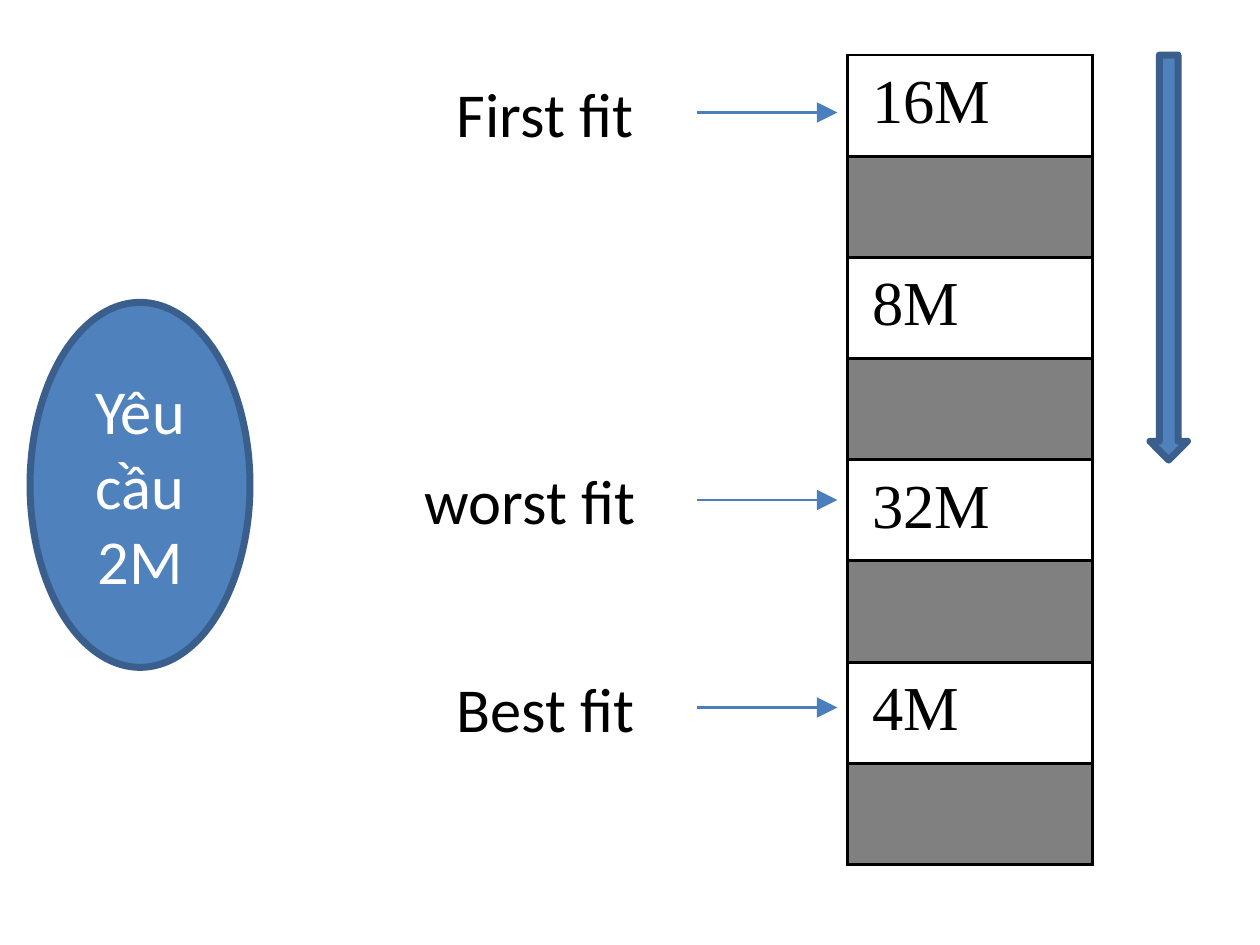
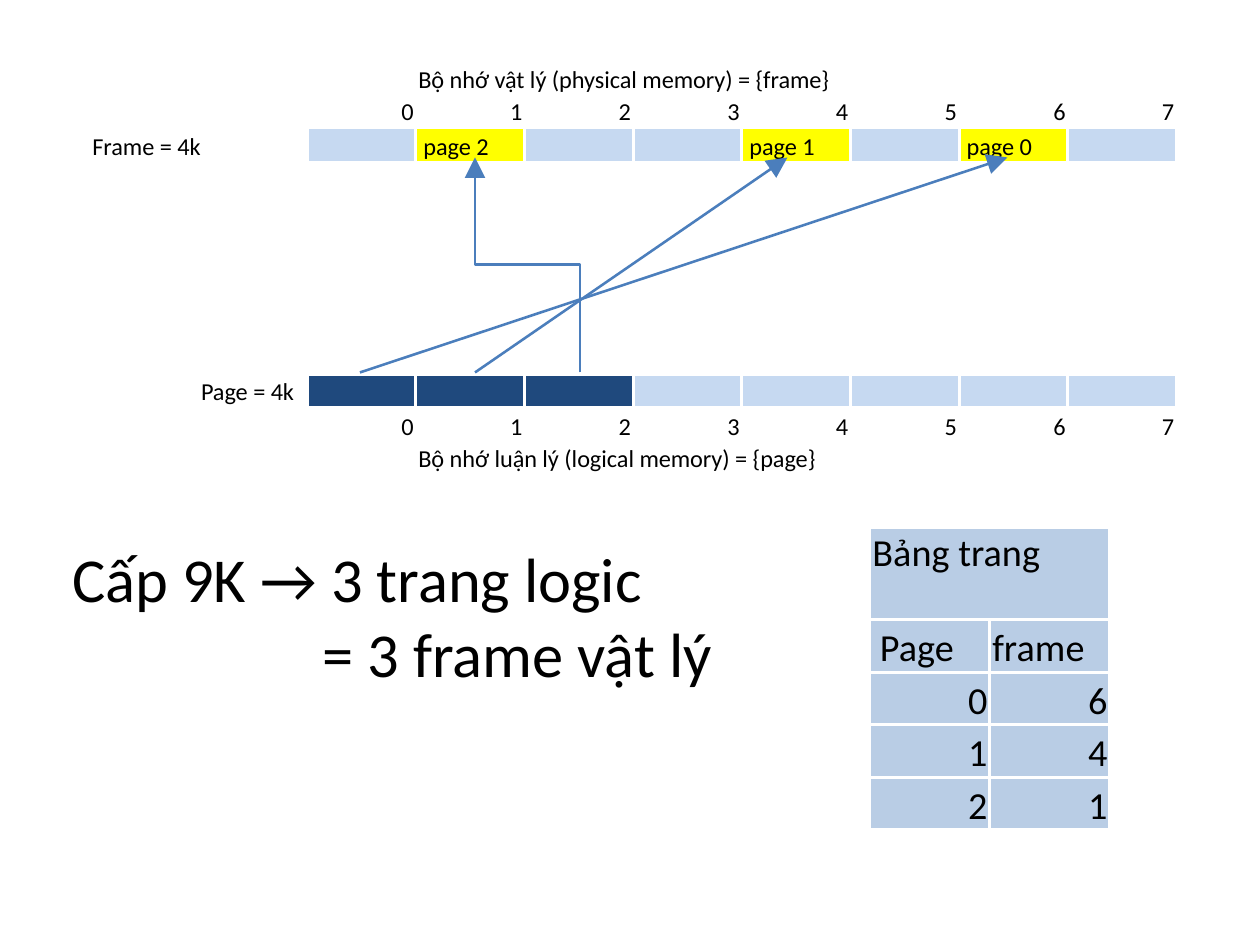
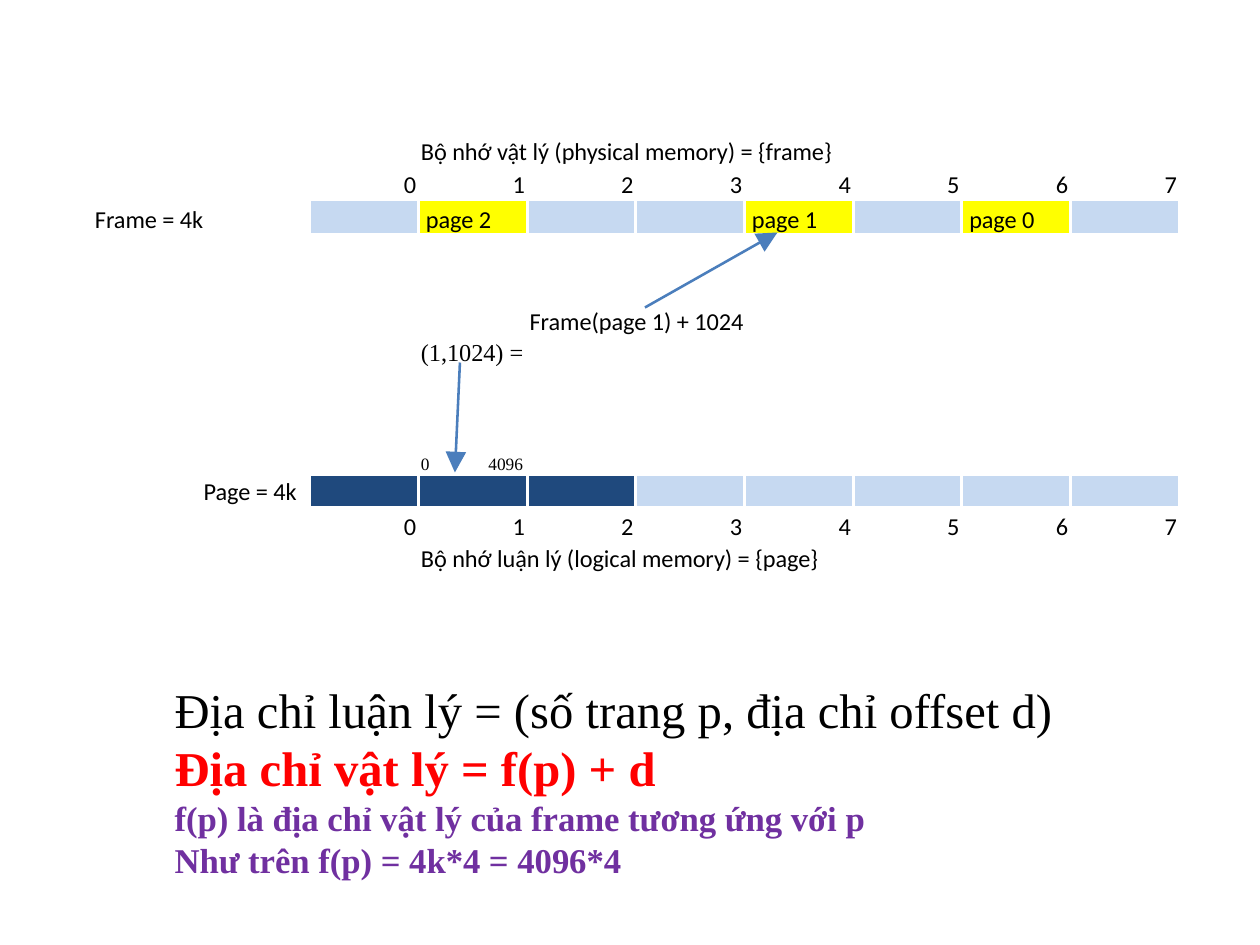
"""Build three slides on memory allocation and paging."""

from lxml.etree import SubElement
from pptx import Presentation
from pptx.dml.color import RGBColor
from pptx.enum.shapes import MSO_CONNECTOR, MSO_SHAPE
from pptx.enum.text import MSO_ANCHOR, PP_ALIGN
from pptx.oxml.ns import qn
from pptx.util import Inches, Pt

BLACK = RGBColor(0x00, 0x00, 0x00)
WHITE = RGBColor(0xFF, 0xFF, 0xFF)
GRAY = RGBColor(0x80, 0x80, 0x80)
BLUE = RGBColor(0x4F, 0x81, 0xBD)
OUTLINE = RGBColor(0x3A, 0x5F, 0x8C)
ARROW = RGBColor(0x4B, 0x7E, 0xBC)
FREE = RGBColor(0xC6, 0xD9, 0xF1)
USED = RGBColor(0x1F, 0x49, 0x7D)
YELLOW = RGBColor(0xFF, 0xFF, 0x00)
PALE = RGBColor(0xB9, 0xCD, 0xE5)
RED = RGBColor(0xFF, 0x00, 0x00)
PURPLE = RGBColor(0x70, 0x30, 0xA0)
SANS = "Calibri"
SERIF = "Times New Roman"

MEMORY_BLOCKS = ["16M", "", "8M", "", "32M", "", "4M", ""]
FITS = [("First fit", 1.73, 0.45), ("worst fit", 1.6, 2), ("Best fit", 1.73, 2.83)]

FRAME_ROW, PAGE_ROW, FIRST_COLUMN, UNIT_COUNT = 2, 8, 2, 8
FRAME_PAGES = {1: "page 2", 4: "page 1", 6: "page 0"}
USED_PAGES = 3
CAPTIONS = [
    (0, 3, 5, "Bộ nhớ vật lý (physical memory) = {frame}"),
    (2, 0, 2, "Frame = 4k"),
    (8, 1, 1, "Page = 4k"),
    (10, 3, 4, "Bộ nhớ luận lý (logical memory) = {page}"),
]
MAPPING_GAPS = [0.17] * 5
ADDRESS_GAPS = [0.14, 0.13, 0.14, 0.12, 0.43]

PAGE_TABLE = [("0", "6"), ("1", "4"), ("2", "1")]
MAPPING_ARROWS = [((1.44, 1.49), (4.03, 0.63)), ((1.9, 1.49), (3.15, 0.63))]
ADDRESS_ARROWS = [((1.84, 1.45), (1.82, 1.89)), ((2.58, 1.23), (3.11, 0.93))]
ADDRESS_RULES = [
    ("Địa chỉ luận lý = (số trang p, địa chỉ offset d)", 14, BLACK, False),
    ("Địa chỉ vật lý = f(p) + d", 14, RED, True),
    ("f(p) là địa chỉ vật lý của frame tương ứng với p", 10, PURPLE, True),
    ("Như trên f(p) = 4k*4 = 4096*4", 10, PURPLE, True),
]


def add_run(paragraph, text, size=18, font=SANS, color=BLACK, bold=False):
    run = paragraph.add_run()
    run.text = text
    run.font.size = Pt(size)
    run.font.name = font
    run.font.color.rgb = color
    run.font.bold = bold


def add_text_box(slide, left, top, width, height):
    box = slide.shapes.add_textbox(*map(Inches, (left, top, width, height)))
    box.text_frame.word_wrap = True
    return box.text_frame


def add_block(slide, kind, left, top, width, height):
    shape = slide.shapes.add_shape(kind, *map(Inches, (left, top, width, height)))
    shape.shadow.inherit = False
    shape.fill.solid()
    shape.fill.fore_color.rgb = BLUE
    shape.line.color.rgb = OUTLINE
    shape.line.width = Pt(2)
    return shape


def add_arrow(slide, start, end, kind=MSO_CONNECTOR.STRAIGHT):
    connector = slide.shapes.add_connector(kind, *map(Inches, (*start, *end)))
    connector.line.color.rgb = ARROW
    connector.line.width = Pt(0.75)
    SubElement(connector.line._get_or_add_ln(), qn("a:tailEnd"), type="triangle")
    SubElement(connector._element.spPr, qn("a:effectLst"))
    return connector


def add_rising_elbow(slide, start, end):
    """Add an elbow arrow that leaves upwards and turns left halfway."""
    center_x, center_y = (start[0] + end[0]) / 2, (start[1] + end[1]) / 2
    reach, rise = (start[1] - end[1]) / 2, (start[0] - end[0]) / 2
    connector = add_arrow(slide, (center_x - reach, center_y + rise),
                          (center_x + reach, center_y - rise), MSO_CONNECTOR.ELBOW)
    connector._element.spPr.xfrm.set("rot", str(270 * 60000))


def add_grid(slide, left, top, width, column_count, row_heights, border):
    """Add a table with no fills and one border colour."""
    frame = slide.shapes.add_table(
        len(row_heights), column_count, Inches(left), Inches(top),
        Inches(width), Inches(sum(row_heights)))
    table = frame.table
    table.first_row = table.horz_banding = False
    for column in table.columns:
        column.width = Inches(width) // column_count
    for row, height in zip(table.rows, row_heights):
        row.height = Inches(height)
    for cell in table.iter_cells():
        properties = cell._tc.get_or_add_tcPr()
        for side in ("lnL", "lnR", "lnT", "lnB"):
            line = SubElement(properties, qn(f"a:{side}"), w=str(Pt(1)))
            fill = SubElement(line, qn("a:solidFill"))
            SubElement(fill, qn("a:srgbClr"), val=str(border))
        cell.fill.background()
        cell.text_frame.paragraphs[0]._p.get_or_add_endParaRPr().set("sz", "100")
    return table


def paint(cell, color):
    cell.fill.solid()
    cell.fill.fore_color.rgb = color


def tighten(table):
    for cell in table.iter_cells():
        cell.margin_left = cell.margin_right = cell.margin_top = Inches(0.01)
        cell.margin_bottom = 0
        cell.vertical_anchor = MSO_ANCHOR.BOTTOM


def write(cell, text, size, font=SANS, align=PP_ALIGN.LEFT):
    paragraph = cell.text_frame.paragraphs[0]
    paragraph.alignment = align
    add_run(paragraph, text, size, font)
    return paragraph


def write_across(table, row, column, span, text, size):
    cell = table.cell(row, column)
    if span > 1:
        cell.merge(table.cell(row, column + span - 1))
    write(cell, text, size)


def add_memory_map(slide, left, top, gaps):
    """Add the frames above the pages, with the given rows between them."""
    heights = [0.14, 0.13, 0.14, *gaps, 0.13, 0.14, 0.13]
    table = add_grid(slide, left, top, 4.35, 10, heights, WHITE)
    tighten(table)
    for row, column, span, text in CAPTIONS:
        write_across(table, row, column, span, text, 7)
    for unit in range(UNIT_COUNT):
        column = FIRST_COLUMN + unit
        for row in (FRAME_ROW - 1, PAGE_ROW + 1):
            write(table.cell(row, column), str(unit), 7, align=PP_ALIGN.RIGHT)
        frame = table.cell(FRAME_ROW, column)
        paint(frame, YELLOW if unit in FRAME_PAGES else FREE)
        if unit in FRAME_PAGES:
            frame.margin_left = Inches(0.03)
            write(frame, FRAME_PAGES[unit], 7)
        paint(table.cell(PAGE_ROW, column), USED if unit < USED_PAGES else FREE)
    return table


def build_fit_slide(slide):
    row_heights = [3.24 / len(MEMORY_BLOCKS)] * len(MEMORY_BLOCKS)
    table = add_grid(slide, 3.39, 0.22, 0.98, 1, row_heights, BLACK)
    for row, size in enumerate(MEMORY_BLOCKS):
        if size:
            write(table.cell(row, 0), size, 18, SERIF)
        else:
            paint(table.cell(row, 0), GRAY)
    add_block(slide, MSO_SHAPE.DOWN_ARROW, 4.6, 0.22, 0.15, 1.62)
    for label, left, middle in FITS:
        add_arrow(slide, (2.79, middle), (3.35, middle))
        text_frame = add_text_box(slide, left, middle - 0.2, 2.79 - left, 0.4)
        add_run(text_frame.paragraphs[0], label)
    request = add_block(slide, MSO_SHAPE.OVAL, 0.12, 1.21, 0.88, 1.46)
    request.text_frame.vertical_anchor = MSO_ANCHOR.MIDDLE
    paragraph = request.text_frame.paragraphs[0]
    paragraph.alignment = PP_ALIGN.CENTER
    add_run(paragraph, "Yêu cầu 2M", color=WHITE)


def build_mapping_slide(slide):
    add_memory_map(slide, 0.36, 0.24, MAPPING_GAPS)
    text_frame = add_text_box(slide, 0.19, 2.11, 3.19, 0.71)
    add_run(text_frame.paragraphs[0], "Cấp 9K → 3 trang logic")
    result = text_frame.add_paragraph()
    result._p.get_or_add_pPr().set("marL", str(Inches(1)))
    add_run(result, "= 3 frame vật lý")
    for start, end in MAPPING_ARROWS:
        add_arrow(slide, start, end)
    add_rising_elbow(slide, (2.32, 1.49), (1.9, 0.63))

    table = add_grid(slide, 3.48, 2.11, 0.96, 2, [0.37] + [0.21] * 4, WHITE)
    tighten(table)
    for cell in table.iter_cells():
        paint(cell, PALE)
    write_across(table, 0, 0, 2, "Bảng trang", 11)
    table.cell(0, 0).vertical_anchor = MSO_ANCHOR.TOP
    table.cell(1, 0).margin_left = Inches(0.04)
    write(table.cell(1, 0), "Page", 11)
    write(table.cell(1, 1), "frame", 11)
    for row, numbers in enumerate(PAGE_TABLE, start=2):
        for column, number in enumerate(numbers):
            write(table.cell(row, column), number, 11, align=PP_ALIGN.RIGHT)


def build_address_slide(slide):
    table = add_memory_map(slide, 0.37, 0.53, ADDRESS_GAPS)
    write_across(table, 5, 4, 3, "Frame(page 1) + 1024", 7)
    address = table.cell(6, 3)
    address.margin_right = 0
    write(address, "(1,1024) =", 7, SERIF)
    offsets = write(table.cell(7, 3), "0\t4096", 5, SERIF)
    tabs = SubElement(offsets._p.get_or_add_pPr(), qn("a:tabLst"))
    SubElement(tabs, qn("a:tab"), pos=str(Inches(0.41)), algn="r")
    text_frame = add_text_box(slide, 0.6, 2.67, 4.21, 0.91)
    for index, (text, size, color, bold) in enumerate(ADDRESS_RULES):
        paragraph = text_frame.add_paragraph() if index else text_frame.paragraphs[0]
        add_run(paragraph, text, size, SERIF, color, bold)
    for start, end in ADDRESS_ARROWS:
        add_arrow(slide, start, end)


def main():
    presentation = Presentation()
    presentation.slide_width = Inches(5.04)
    presentation.slide_height = Inches(3.78)
    blank_layout = presentation.slide_layouts[6]
    for build in (build_fit_slide, build_mapping_slide, build_address_slide):
        build(presentation.slides.add_slide(blank_layout))
    presentation.save("out.pptx")


if __name__ == "__main__":
    main()
